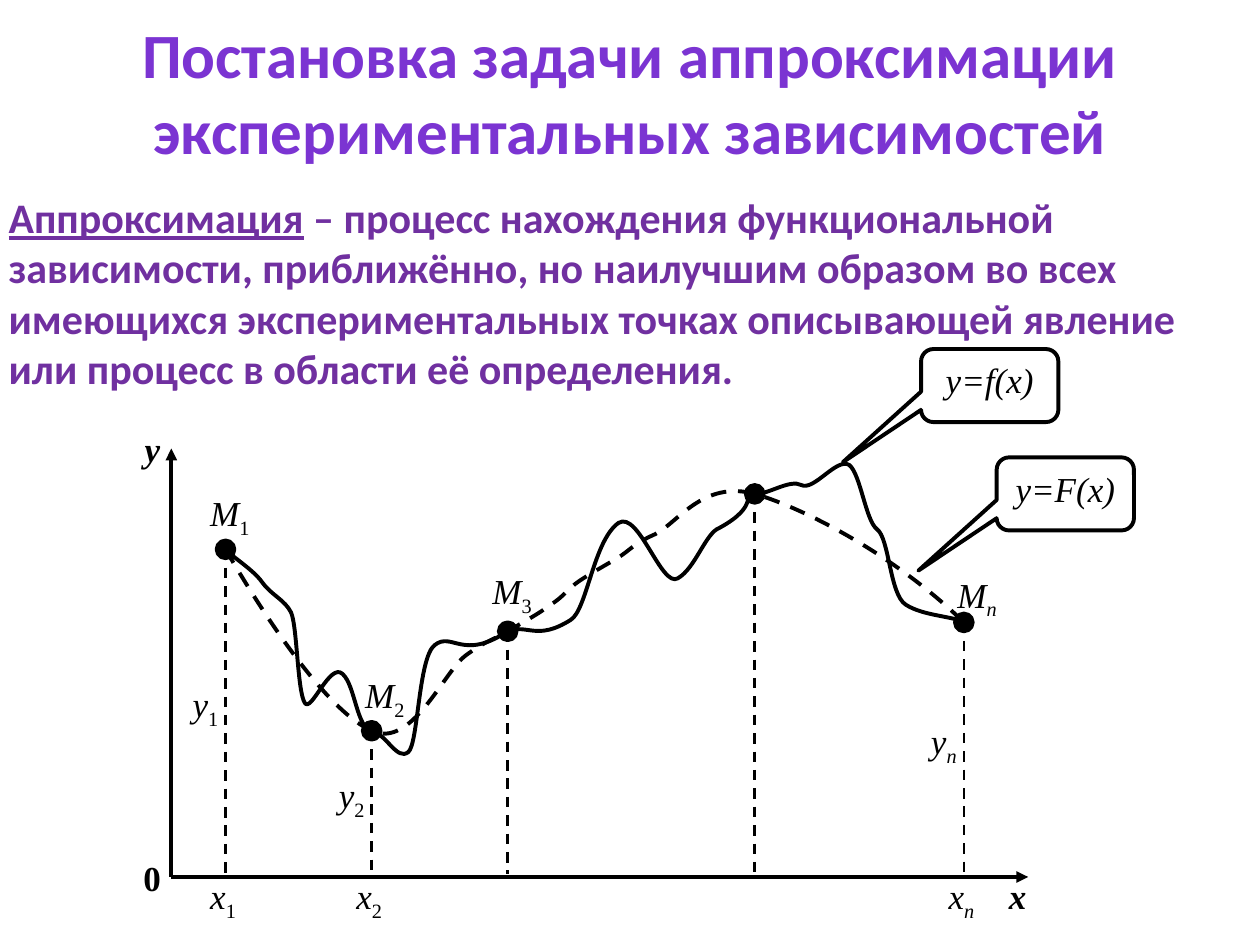
import pptx
import pptx.util
import pptx.dml.color
import pptx.enum.dml
import pptx.enum.shapes
import pptx.enum.text
import pptx.oxml
import pptx.oxml.ns
from pptx.util import Inches

# Content
COLORS = {"title": "7B34D2", "definition": "7030A0", "ink": "000000"}
HEADING = "Постановка задачи аппроксимации экспериментальных зависимостей"
DEFINITION = [
    ("Аппроксимация", {"underline": True}),
    (" – процесс нахождения функциональной зависимости, приближённо, но наилучшим "
     "образом во всех имеющихся экспериментальных точках описывающей явление или "
     "процесс в области её определения.", {}),
]
MEASURED = [(1.79, 4.36), (2.95, 5.8), (4.03, 5.01), (5.99, 3.92), (7.65, 4.94)]
AXIS_Y = 6.96
ORIGIN = (1.36, AXIS_Y)
AXIS_ENDS = [(8.16, AXIS_Y), (1.36, 3.56)]

# Letter, index, left, top, width
POINT_LABELS = [("M", "1", 1.57, 3.85), ("M", "2", 2.8, 5.3),
                ("M", "3", 3.81, 4.47), ("M", "n", 7.5, 4.5)]
COORDINATES = [("1", 1.79, 5.37), ("2", 2.95, 6.09), ("n", 7.65, 5.66)]
AXIS_LABELS = [("0", 1.04, 6.75, False), ("y", 1.05, 3.34, True), ("x", 7.91, 6.89, True)]
CALLOUTS = [("y=F(x)", 7.91, 3.63), ("y=f(x)", 7.31, 2.77)]

# Each curve starts at the first measured point; a row is two handles and an end
APPROXIMATION = [
    (2.18, 5.03, 2.63, 5.66, 2.95, 5.8), (3.27, 5.95, 3.52, 5.33, 3.7, 5.2),
    (3.88, 5.07, 3.92, 5.08, 4.03, 5.01), (4.15, 4.94, 4.28, 4.87, 4.37, 4.8),
    (4.47, 4.74, 4.51, 4.67, 4.6, 4.61), (4.69, 4.55, 4.8, 4.49, 4.9, 4.43),
    (5, 4.37, 5.02, 4.32, 5.2, 4.24), (5.38, 4.15, 5.58, 3.81, 5.99, 3.92),
    (6.4, 4.04, 7.12, 4.42, 7.65, 4.94),
]
DEPENDENCE = [
    (1.83, 4.41, 2.01, 4.52, 2.08, 4.62), (2.15, 4.72, 2.26, 4.76, 2.31, 4.86),
    (2.36, 4.97, 2.36, 5.49, 2.42, 5.58), (2.47, 5.66, 2.62, 5.25, 2.72, 5.35),
    (2.82, 5.44, 2.83, 5.78, 2.95, 5.8), (3.07, 5.83, 3.15, 6.04, 3.24, 5.97),
    (3.32, 5.91, 3.32, 5.22, 3.45, 5.12), (3.59, 5.01, 3.67, 5.25, 4.03, 5.01),
    (4.19, 4.95, 4.26, 5.09, 4.53, 4.92), (4.66, 4.84, 4.71, 4.29, 4.91, 4.15),
    (5.07, 4.05, 5.25, 4.67, 5.38, 4.59), (5.52, 4.51, 5.6, 4.23, 5.71, 4.19),
    (6.04, 4.01, 5.88, 3.91, 5.99, 3.92), (6.09, 3.93, 6.27, 3.8, 6.36, 3.85),
    (6.46, 3.9, 6.64, 3.63, 6.74, 3.69), (6.83, 3.76, 6.87, 4.13, 6.96, 4.2),
    (7.06, 4.27, 7.06, 4.72, 7.19, 4.8), (7.33, 4.89, 7.57, 4.89, 7.65, 4.94),
]

deck = pptx.Presentation()
deck.slide_width, deck.slide_height = Inches(10), Inches(7.5)
slide = deck.slides.add_slide(deck.slide_layouts[5])
shapes = slide.shapes


def rgb(name):
    return pptx.dml.color.RGBColor.from_string(COLORS[name])


def write(shape, runs, size=20, font="Times New Roman", color="ink", bold=False,
          italic=False, align="LEFT", anchor="TOP", wrap=True):
    frame = shape.text_frame
    frame.word_wrap = wrap
    frame.auto_size = pptx.enum.text.MSO_AUTO_SIZE.NONE
    frame.vertical_anchor = getattr(pptx.enum.text.MSO_ANCHOR, anchor)
    paragraph = frame.paragraphs[0]
    paragraph.alignment = getattr(pptx.enum.text.PP_ALIGN, align)
    for text, changes in runs:
        run = paragraph.add_run()
        run.text = text
        run.font.size = pptx.util.Pt(size)
        run.font.name = font
        run.font.color.rgb = rgb(color)
        run.font.bold = bold
        run.font.italic = changes.get("italic", italic)
        run.font.underline = changes.get("underline")
        if "baseline" in changes:
            run.font._element.set("baseline", changes["baseline"])


def textbox(left, top, width, height, runs, **style):
    box = shapes.add_textbox(Inches(left), Inches(top), Inches(width), Inches(height))
    write(box, runs, **style)


def label(letter, index, left, top, width):
    runs = [(letter, {}), (index, {"italic": index == "n", "baseline": "-25000"})]
    textbox(left, top, width, 0.44, runs, italic=True, wrap=False)


def stroke(shape, width=2.25, dashed=False):
    shape.line.color.rgb = rgb("ink")
    shape.line.width = pptx.util.Pt(width)
    if dashed:
        shape.line.dash_style = pptx.enum.dml.MSO_LINE.DASH


def line(start, end, arrow=False, **style):
    connector = shapes.add_connector(pptx.enum.shapes.MSO_CONNECTOR.STRAIGHT,
                                     *(Inches(v) for v in (*start, *end)))
    stroke(connector, **style)
    if arrow:
        tail = pptx.oxml.parse_xml(
            '<a:tailEnd %s type="triangle"/>' % pptx.oxml.ns.nsdecls("a"))
        connector.line._get_or_add_ln().append(tail)
    connector._element.spPr.append(
        pptx.oxml.parse_xml("<a:effectLst %s/>" % pptx.oxml.ns.nsdecls("a")))


def curve(segments, dashed=False):
    builder = shapes.build_freeform(*(Inches(v) for v in MEASURED[0]), scale=1.0)
    builder.add_line_segments(
        [(Inches(s[i]), Inches(s[i + 1])) for s in segments for i in (0, 2, 4)], close=False)
    shape = builder.convert_to_shape()
    # Join every three vertices into one cubic segment
    qn = pptx.oxml.ns.qn
    steps = list(shape._element.iter(qn("a:lnTo")))
    for i in range(0, len(steps), 3):
        cubic = pptx.oxml.parse_xml("<a:cubicBezTo %s/>" % pptx.oxml.ns.nsdecls("a"))
        steps[i].addprevious(cubic)
        for step in steps[i:i + 3]:
            cubic.append(step.find(qn("a:pt")))
            step.getparent().remove(step)
    shape.fill.background()
    shape.shadow.inherit = False
    stroke(shape, dashed=dashed)


# Title and definition
title = shapes.title
title.left, title.top, title.width, title.height = (Inches(v) for v in (0, 0.07, 10, 1.31))
write(title, [(HEADING, {})], size=36, font="Calibri", color="title", bold=True,
      align="CENTER", anchor="MIDDLE")
textbox(-0.03, 1.47, 10, 1.72, DEFINITION, size=24, font="Calibri",
        color="definition", bold=True)

# Measured points with their projections
for x, y in MEASURED:
    dot = shapes.add_shape(pptx.enum.shapes.MSO_SHAPE.OVAL, Inches(x - 0.07),
                           Inches(y - 0.07), Inches(0.14), Inches(0.14))
    dot.fill.solid()
    dot.fill.fore_color.rgb = rgb("ink")
    dot.shadow.inherit = False
    stroke(dot)
    line((x, y), (x, AXIS_Y - 0.02), width=1.5, dashed=True)

# Curves and their callouts
curve(APPROXIMATION, dashed=True)
curve(DEPENDENCE)
for formula, left, top in CALLOUTS:
    callout = shapes.add_shape(pptx.enum.shapes.MSO_SHAPE.ROUNDED_RECTANGULAR_CALLOUT,
                               Inches(left), Inches(top), Inches(1.09), Inches(0.58))
    for i, value in enumerate((-1.07, 1.05, 0.17)):
        callout.adjustments[i] = value
    callout.fill.background()
    callout.shadow.inherit = False
    stroke(callout)
    write(callout, [(formula, {})], italic=True, align="CENTER")

# Axes and labels
for end in AXIS_ENDS:
    line(ORIGIN, end, arrow=True)
for letter, index, left, top in POINT_LABELS:
    label(letter, index, left, top, 0.53)
for index, x, y_top in COORDINATES:
    label("x", index, x - 0.22, 6.89, 0.42)
    label("y", index, x - 0.36, y_top, 0.42)
for name, left, top, italic in AXIS_LABELS:
    textbox(left, top, 0.34, 0.44, [(name, {})], bold=True, italic=italic, wrap=False)

deck.save("out.pptx")
